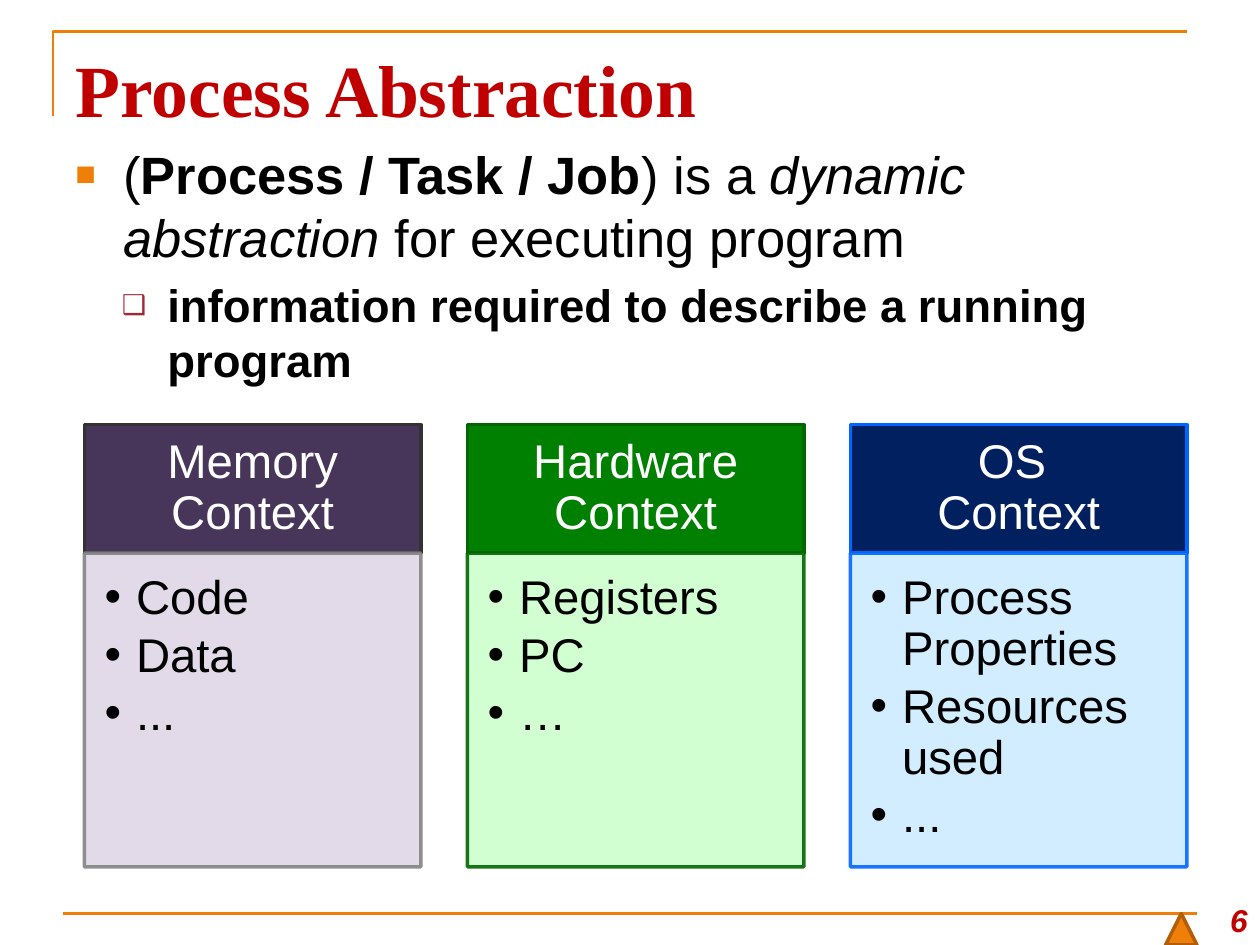
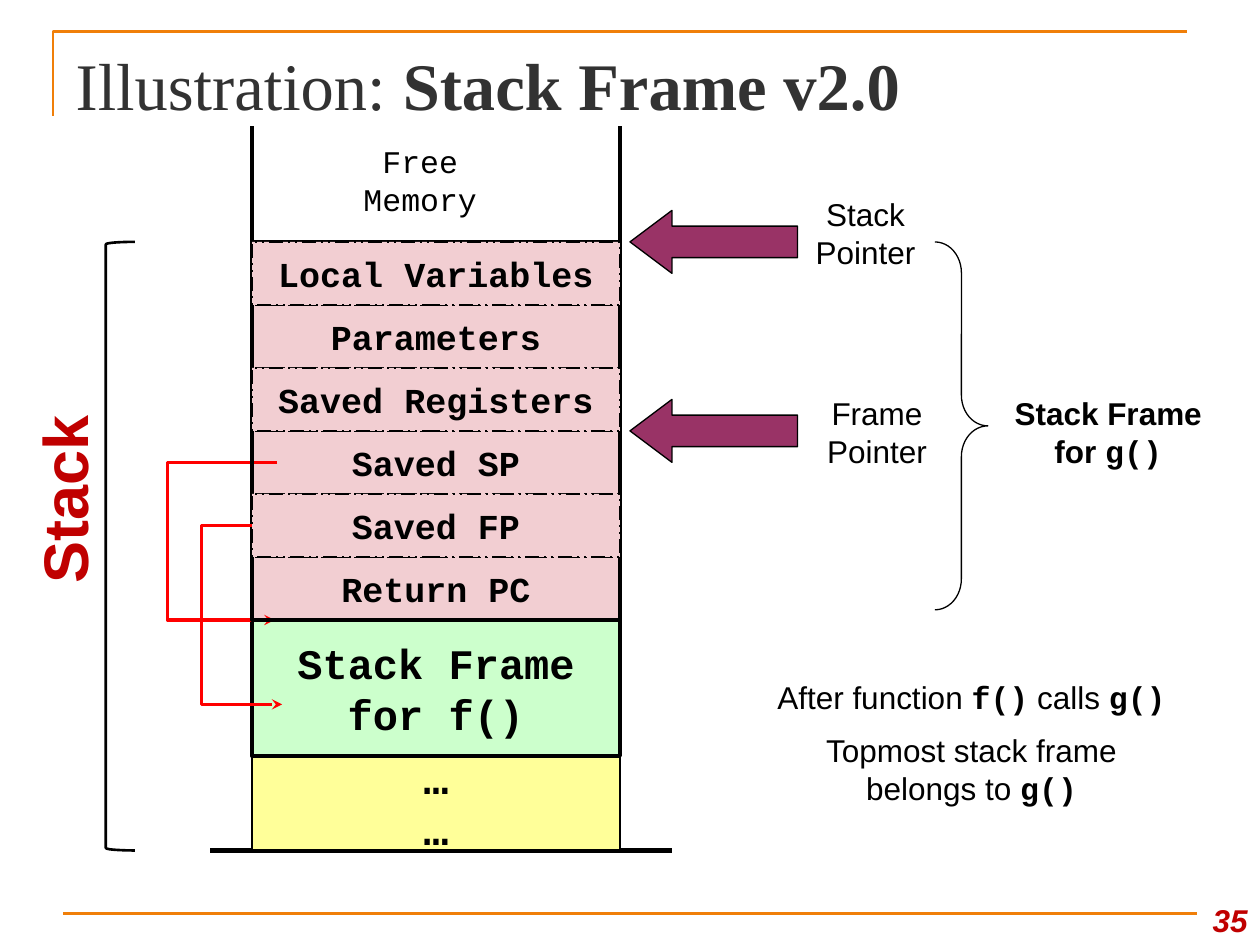
from lxml.etree import SubElement
from pptx import Presentation
from pptx.dml.color import RGBColor
from pptx.enum.dml import MSO_LINE as Dash
from pptx.enum.shapes import MSO_CONNECTOR, MSO_SHAPE as Shape
from pptx.enum.text import MSO_ANCHOR as Anchor, MSO_AUTO_SIZE as Fit, PP_ALIGN as Align
from pptx.oxml.ns import qn
from pptx.util import Inches, Pt

SANS, SERIF, MONO = "Arial", "Times New Roman", "Courier New"
BLACK, WHITE, GREY = "000000", "FFFFFF", "323232"
RED, ORANGE, LINK = "C00000", "F07F09", "FF0000"
CODE = {"name": MONO, "bold": True}
BOLD = {"bold": True}


def tint(color):
    return RGBColor.from_string(color)


def style(font, size=None, color=None, **traits):
    """Set a font's size, colour and any of name, bold, italic."""
    if size:
        font.size = Pt(size)
    if color:
        font.color.rgb = tint(color)
    for key, value in traits.items():
        setattr(font, key, value)


def write(para, parts, size, color=BLACK, name=SANS, align=None, **traits):
    """Fill a paragraph from strings and (string, font traits) pairs."""
    style(para.font, size, color, name=name, **traits)
    para.alignment = align
    for part in [parts] if isinstance(parts, str) else parts:
        text, extra = (part, {}) if isinstance(part, str) else part
        for i, row in enumerate(text.split("\n")):
            if i:
                para.add_line_break()
            run = para.add_run()
            run.text = row
            style(run.font, **extra)


def paras(frame, count):
    """Return the given number of paragraphs of a fresh frame."""
    return [frame.paragraphs[0]] + [frame.add_paragraph() for _ in range(count - 1)]


def bullet(para, sign, left, hang, color=None, scale=None):
    props = para._p.get_or_add_pPr()
    props.set("marL", str(Inches(left)))
    props.set("indent", str(-Inches(hang)))
    if color:
        SubElement(SubElement(props, qn("a:buClr")), qn("a:srgbClr"), val=color)
    if scale:
        SubElement(props, qn("a:buSzPct"), val=str(scale * 1000))
    SubElement(props, qn("a:buFont"), typeface=SANS)
    SubElement(props, qn("a:buChar"), char=sign)


def inset(frame, *sides):
    names = ("left", "top", "right", "bottom")
    for side, value in zip(names, sides):
        setattr(frame, "margin_" + side, Inches(value))


def paint(shape, fill, line, width):
    shape.shadow.inherit = False
    if fill:
        shape.fill.solid()
        shape.fill.fore_color.rgb = tint(fill)
    else:
        shape.fill.background()
    shape.line.color.rgb = tint(line)
    shape.line.width = Pt(width)


def block(slide, kind, area, fill=None, line=BLACK, width=1.5, adjust=()):
    shape = slide.shapes.add_shape(kind, *map(Inches, area))
    paint(shape, fill, line, width)
    for i, value in enumerate(adjust):
        shape.adjustments[i] = value
    return shape


def rule(slide, x1, y1, x2, y2, color=BLACK, width=2):
    line = slide.shapes.add_connector(
        MSO_CONNECTOR.STRAIGHT, *map(Inches, (x1, y1, x2, y2)))
    line.line.color.rgb = tint(color)
    line.line.width = Pt(width)
    SubElement(line._element.spPr, qn("a:effectLst"))


def trace(slide, points, color, width):
    """Draw an open outline through the points."""
    first, *rest = [(Inches(x), Inches(y)) for x, y in points]
    pen = slide.shapes.build_freeform(*first)
    pen.add_line_segments(rest, close=False)
    shape = pen.convert_to_shape()
    paint(shape, None, color, width)
    return shape


def label(slide, area, lines, size=18, gap=9, align=Align.CENTER, **traits):
    """Add a text box with one paragraph for each entry of lines."""
    shape = slide.shapes.add_textbox(*map(Inches, area))
    frame = shape.text_frame
    frame.word_wrap = True
    for i, (para, parts) in enumerate(zip(paras(frame, len(lines)), lines)):
        if i:
            para.space_before = Pt(gap)
        write(para, parts, size, align=align, **traits)
    return shape


def start(deck, title, size, color, number, **traits):
    """Add a slide with its rules, title and page number."""
    slide = deck.slides.add_slide(deck.slide_layouts[5])
    trace(slide, [(0.42, 0.92), (0.42, 0.25), (9.42, 0.25)], ORANGE, 1.5)
    rule(slide, 0.5, 7.25, 9.5, 7.25, ORANGE, 1.5)
    head = slide.shapes.title
    head.left, head.top, head.width, head.height = map(Inches, (0.5, 0.3, 9, 0.78))
    frame = head.text_frame
    frame.auto_size = Fit.NONE
    frame.vertical_anchor = Anchor.TOP
    write(frame.paragraphs[0], title, size, color, SERIF, Align.LEFT, **traits)
    page = label(slide, (9.42, 7, 0.58, 0.5), [number], align=Align.RIGHT,
                 color=RED, bold=True, italic=True)
    page.text_frame.vertical_anchor = Anchor.BOTTOM
    return slide


def points(slide, area):
    shape = slide.shapes.add_textbox(*map(Inches, area))
    frame = shape.text_frame
    frame.word_wrap = True
    main, sub = paras(frame, 2)
    bullet(main, "■", 0.38, 0.38, ORANGE, 65)
    write(main, ["(", ("Process / Task / Job", BOLD), ") is a ",
                 ("dynamic abstraction ", {"italic": True}),
                 "for executing program"], 30)
    bullet(sub, "❑", 0.73, 0.36, "9F2936", 60)
    sub.space_before = Pt(5.2)
    write(sub, "information required to describe a running program", 26, bold=True)


def fade(shape, percent):
    """Make a shape's fill and line partly see-through."""
    for color in shape._element.spPr.iter(qn("a:srgbClr")):
        SubElement(color, qn("a:alpha"), val=str(percent * 1000))


def card(slide, area, head, items, dark, edge, pale, rim):
    """Draw a headed list; the head takes the top of the area."""
    x, y, w, h = area
    top = 1.02
    cap = block(slide, Shape.RECTANGLE, (x, y, w, top), dark, edge, 2)
    inset(cap.text_frame, 0.21, 0.12, 0.21, 0.12)
    cap.text_frame.vertical_anchor = Anchor.MIDDLE
    para = cap.text_frame.paragraphs[0]
    para.line_spacing = 0.9
    write(para, head, 27, WHITE, align=Align.CENTER)

    body = block(slide, Shape.RECTANGLE, (x, y + top, w, h - top), pale, rim, 2)
    fade(body, 90)
    frame = body.text_frame
    inset(frame, 0.16, 0.16, 0.21, 0.24)
    frame.vertical_anchor = Anchor.TOP
    for para, item in zip(paras(frame, len(items)), items):
        bullet(para, "•", 0.25, 0.25)
        para.line_spacing = 0.9
        para.space_after = Pt(4)
        write(para, item, 27, align=Align.LEFT)


def process(deck):
    slide = start(deck, "Process Abstraction", 42, RED, "6", bold=True)
    points(slide, (0.5, 1.08, 9, 2.17))
    cards = [
        ("Memory Context", ["Code", "Data", "..."],
         "48365A", GREY, "DFD7E7", "848484"),
        ("Hardware Context", ["Registers", "PC", "…"],
         "008000", "006600", "CCFFCC", "006600"),
        ("OS \nContext", ["Process Properties", "Resources used", "..."],
         "002060", "0066FF", "CCECFF", "0066FF"),
    ]
    for i, entry in enumerate(cards):
        card(slide, (0.67 + 3.04 * i, 3.37, 2.67, 3.51), *entry)
    block(slide, Shape.ISOSCELES_TRIANGLE, (9.25, 7.25, 0.25, 0.25),
          ORANGE, "B25E07", 2)


def cell(slide, area, lines, fill, size, width, dash=None):
    shape = block(slide, Shape.RECTANGLE, area, fill, BLACK, width)
    if dash:
        shape.line.dash_style = dash
    frame = shape.text_frame
    frame.word_wrap = False
    frame.vertical_anchor = Anchor.MIDDLE
    for para, text in zip(paras(frame, len(lines)), lines):
        write(para, text, size, name=MONO, align=Align.CENTER, bold=True)


def link(slide, x, y1, y2, begin, end):
    """Lead a red arrow out to x and back, from height y1 to y2."""
    shape = trace(slide, [(begin, y1), (x, y1), (x, y2), (end, y2)], LINK, 2)
    SubElement(shape.line._get_or_add_ln(), qn("a:tailEnd"), type="stealth")


def stack(slide, area):
    """Draw the stack; area runs from the open top to the ground line."""
    x, y, w, h = area
    right, ground, top, step = x + w, y + h, y + 0.92, 0.5
    names = ["Local Variables", "Parameters", "Saved Registers",
             "Saved SP", "Saved FP", "Return PC"]
    base = top + step * len(names)

    def rows(first):
        for i in range(first, len(names), 2):
            cell(slide, (x, top + step * i, w, step), [names[i]],
                 "F2CED2", 20, 1, Dash.DASH_DOT_DOT)

    rule(slide, x - 0.33, ground, right + 0.41, ground, width=3)
    cell(slide, (x, base + 1.08, w, 0.75), ["…", "…"], "FFFF99", 24, 1.5)
    cell(slide, (x, base, w, 1.08), ["Stack Frame\nfor f()"], "CCFFCC", 24, 2.25)
    rows(1)
    link(slide, x - 0.67, top + 3.5 * step, base, x + 0.2, x + 0.18)
    for side in (x, right):
        rule(slide, side, top, side, y)
    label(slide, (x + 0.5, y + 0.08, 1.67, 0.7), ["Free Memory"], name=MONO)
    block(slide, Shape.RECTANGLE, (x, top, w, base - top), width=2.25)
    link(slide, x - 0.4, top + 4.5 * step, base + 0.67, x + 0.25, x + 0.24)
    rows(0)
    block(slide, Shape.LEFT_BRACKET, (x - 1.16, top, 0.23, ground - top))
    side = label(slide, (x - 2.38, y + 2.49, 1.76, 0.94), ["Stack"], 36,
                 color=RED, bold=True)
    side.rotation = 270
    side.text_frame.vertical_anchor = Anchor.MIDDLE


def pointer(slide, x, y, text, left, top):
    """Place an arrow at x, y and its label at left, top."""
    block(slide, Shape.LEFT_ARROW, (x, y, 1.33, 0.5), "993366", BLACK, 0.75,
          (0.5, 0.667))
    label(slide, (left, top, 1.08, 0.7), [text])


def frames(deck):
    slide = start(deck, ["Illustration: ", ("Stack Frame v2.0", BOLD)],
                  38, GREY, "35")
    stack(slide, (2, 1, 2.92, 5.75))
    pointer(slide, 5, 1.67, "Stack Pointer", 6.33, 1.5)
    pointer(slide, 5, 3.17, "Frame Pointer", 6.42, 3.08)
    block(slide, Shape.RIGHT_BRACE, (7.42, 1.92, 0.42, 2.92), None, BLACK, 0.75,
          (0.583, 0.5))
    label(slide, (7.92, 3.08, 1.75, 0.71),
          [["Stack Frame for ", ("g()", {"name": MONO})]], bold=True)
    label(slide, (6, 5.33, 3.42, 1.15), [
        ["After function ", ("f()", CODE), " calls ", ("g()", CODE)],
        ["Topmost stack frame belongs to ", ("g()", CODE)],
    ])


def main():
    deck = Presentation()
    deck.slide_width, deck.slide_height = Inches(10), Inches(7.5)
    process(deck)
    frames(deck)
    deck.save("out.pptx")


if __name__ == "__main__":
    main()
